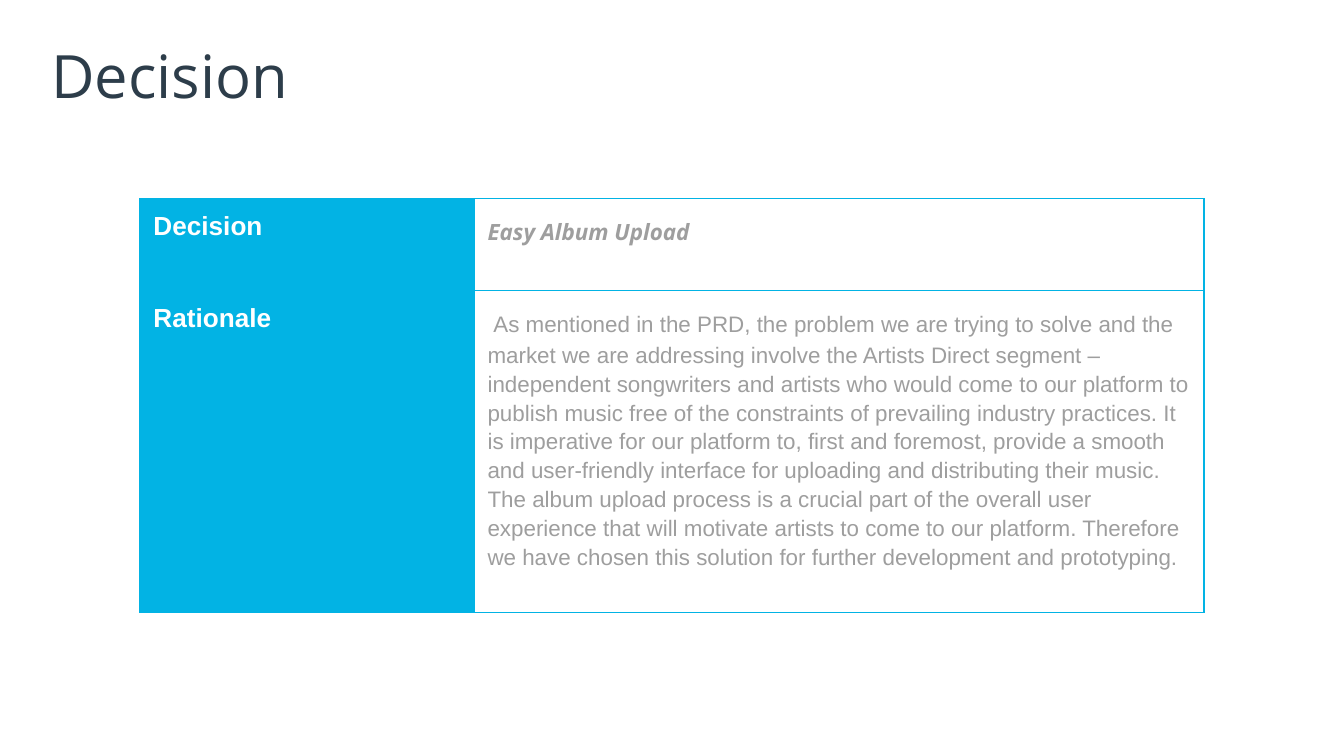
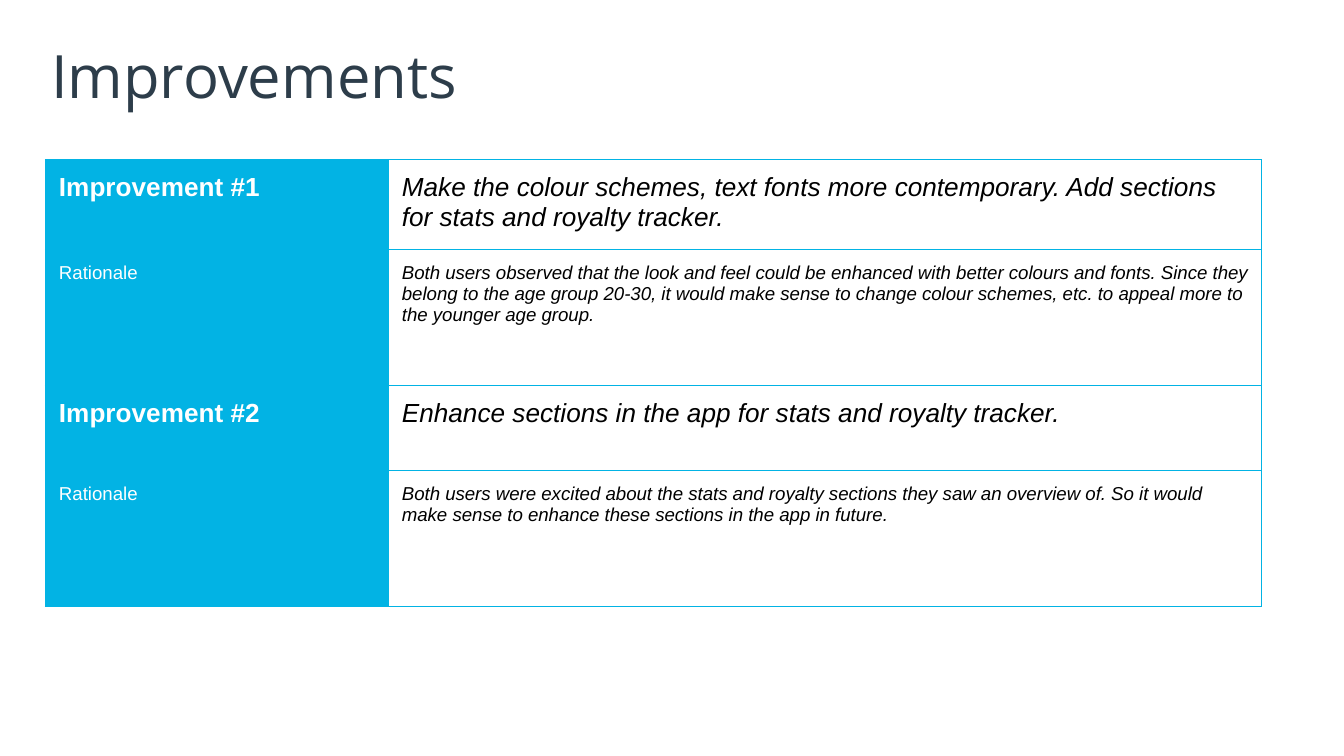
from dataclasses import dataclass

from lxml import etree
from pptx import Presentation
from pptx.dml.color import RGBColor
from pptx.enum.text import MSO_ANCHOR
from pptx.oxml.ns import qn
from pptx.util import Pt

MID, TOP = MSO_ANCHOR.MIDDLE, MSO_ANCHOR.TOP


@dataclass(frozen=True)
class Theme:
    blue: str = "02B3E4"
    navy: str = "2D3D4A"
    gray: str = "9E9E9E"
    white: str = "FFFFFF"
    black: str = "000000"
    sans: str = "Arial"
    open: str = "Open Sans"
    title: float = 32
    head: float = 14
    body: float = 12
    small: float = 10
    line: float = 0.75
    pad: float = 7.2


T = Theme()

# Text formats
TITLE = dict(size=T.title, font=T.open, color=T.navy)
LABEL = dict(size=T.head, color=T.white, bold=True)
MINOR = dict(size=T.small, color=T.white)
POINT = dict(size=T.head, italic=True)
CAUSE = dict(size=T.small, italic=True)
BODY = dict(size=T.body, color=T.gray, space=7, lead=1.15)
CHOICE = dict(BODY, font=T.open, bold=True, italic=True)

# Content: each row is height, label, label format, text, text format
SLIDES = [
    dict(
        title="Decision", left=75, top=106.5, cols=(179, 391),
        rows=[
            (49.3, "Decision", LABEL, "Easy Album Upload", CHOICE),
            (172.5, "Rationale", LABEL, [
                (" ", T.open),
                ("As mentioned in the PRD, the problem we are trying to solve "
                 "and the market we are addressing involve the Artists Direct "
                 "segment – independent songwriters and artists who would come "
                 "to our platform to publish music free of the constraints of "
                 "prevailing industry practices. It is imperative for our "
                 "platform to, first and foremost, provide a smooth and "
                 "user-friendly interface for uploading and distributing their "
                 "music. The album upload process is a crucial part of the "
                 "overall user experience that will motivate artists to come "
                 "to our platform. Therefore we have chosen this solution for "
                 "further development and prototyping.", T.sans),
            ], BODY),
        ],
    ),
    dict(
        title="Improvements", left=24.4, top=85.6, cols=(183.7, 467.8),
        rows=[
            (45.8, "Improvement #1", LABEL,
             "Make the colour schemes, text fonts more contemporary. "
             "Add sections for stats and royalty tracker.", POINT),
            (72.7, "Rationale", MINOR,
             "Both users observed that the look and feel could be enhanced "
             "with better colours and fonts. Since they belong to the age "
             "group 20-30, it would make sense to change colour schemes, etc. "
             "to appeal more to the younger age group.", CAUSE),
            (45.8, "Improvement #2", LABEL,
             "Enhance sections in the app for stats and royalty tracker.",
             POINT),
            (72.7, "Rationale", MINOR,
             "Both users were excited about the stats and royalty sections "
             "they saw an overview of. So it would make sense to enhance "
             "these sections in the app in future.", CAUSE),
        ],
    ),
]


def write(frame, text, size, font=T.sans, color=T.black, bold=False,
          italic=False, space=0, lead=1.0):
    """Fill a text frame; text is a string or a list of (words, font)."""
    frame.word_wrap = True
    para = frame.paragraphs[0]
    para.space_before, para.line_spacing = Pt(space), lead
    runs = [(text, font)] if isinstance(text, str) else text
    for words, face in runs:
        run = para.add_run()
        run.text = words
        look = run.font
        look.name, look.size = face, Pt(size)
        look.bold, look.italic = bold, italic
        look.color.rgb = RGBColor.from_string(color)


def inset(box, pad):
    box.margin_left = box.margin_right = Pt(pad)
    box.margin_top = box.margin_bottom = Pt(pad)


def border(cell):
    props = cell._tc.get_or_add_tcPr()
    for side in ("a:lnL", "a:lnR", "a:lnT", "a:lnB"):
        line = etree.SubElement(props, qn(side), w=str(Pt(T.line)))
        fill = etree.SubElement(line, qn("a:solidFill"))
        etree.SubElement(fill, qn("a:srgbClr"), val=T.blue)


def style(cell, text, form, fill=None):
    inset(cell, T.pad)
    cell.vertical_anchor = TOP
    border(cell)
    if fill:
        cell.fill.solid()
        cell.fill.fore_color.rgb = RGBColor.from_string(fill)
    else:
        cell.fill.background()
    write(cell.text_frame, text, **form)


def add_title(slide, text):
    box = slide.shapes.add_textbox(Pt(24.5), Pt(17.3), Pt(671), Pt(45.4))
    frame = box.text_frame
    inset(frame, 2.9)
    frame.vertical_anchor = MID
    write(frame, text, **TITLE)


def add_grid(slide, left, top, cols, rows):
    high = sum(row[0] for row in rows)
    grid = slide.shapes.add_table(len(rows), len(cols), Pt(left), Pt(top),
                                  Pt(sum(cols)), Pt(high)).table
    grid.first_row = grid.horz_banding = False
    for col, width in zip(grid.columns, cols):
        col.width = Pt(width)
    for line, (tall, label, mark, text, form) in zip(grid.rows, rows):
        line.height = Pt(tall)
        style(line.cells[0], label, mark, T.blue)
        style(line.cells[1], text, form)


def main():
    deck = Presentation()
    deck.slide_width, deck.slide_height = Pt(720), Pt(405)
    blank = deck.slide_layouts[6]
    for page in SLIDES:
        slide = deck.slides.add_slide(blank)
        add_title(slide, page["title"])
        add_grid(slide, page["left"], page["top"], page["cols"], page["rows"])
    deck.save("out.pptx")


if __name__ == "__main__":
    main()
